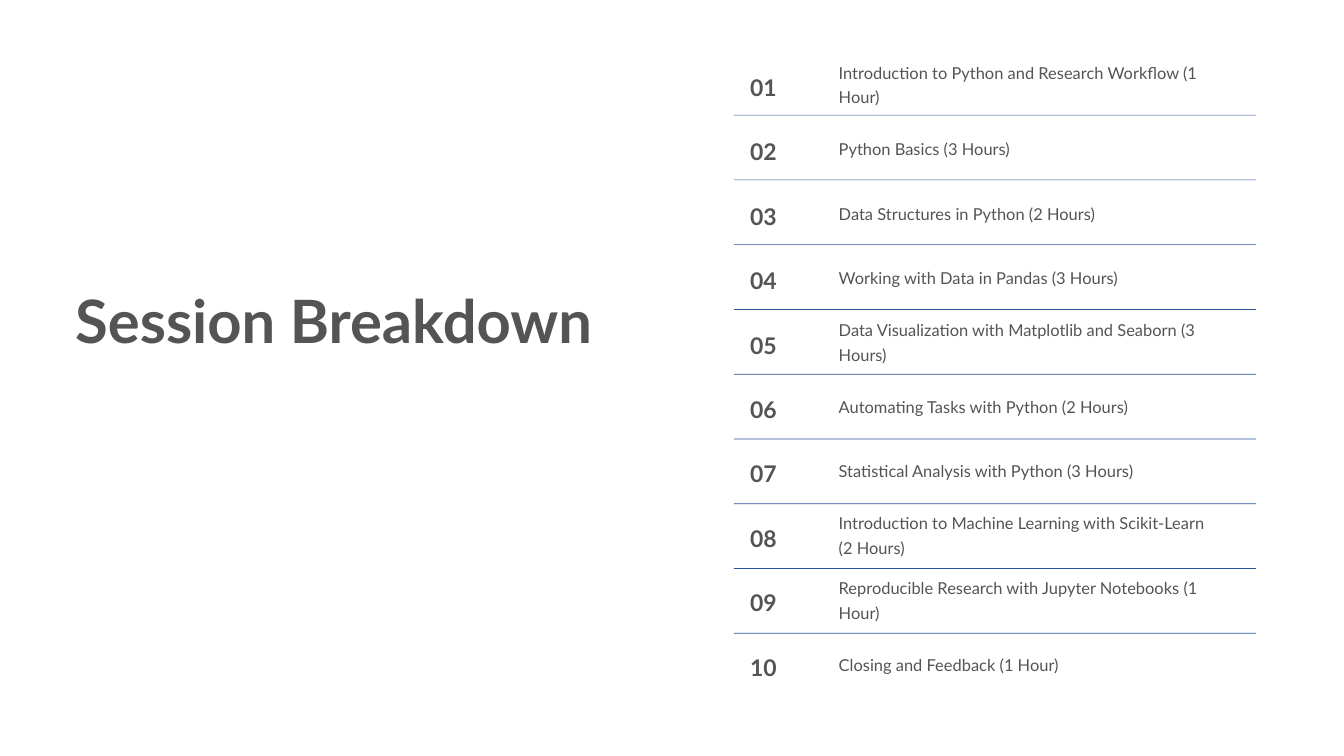
"""Build the session breakdown slide: a title beside a ruled, numbered agenda."""
from dataclasses import dataclass

from pptx import Presentation
from pptx.dml.color import RGBColor
from pptx.enum.shapes import MSO_SHAPE as Shape
from pptx.enum.text import PP_ALIGN as Align
from pptx.util import Pt


@dataclass(frozen=True)
class Theme:
    font: str = "Lato"
    ink: RGBColor = RGBColor(0x54, 0x54, 0x54)
    rule: RGBColor = RGBColor(0x2B, 0x52, 0x9D)
    title_size: float = 64
    title_leading: float = 76.8
    number_size: float = 24.6
    number_leading: float = 32
    session_size: float = 17.6
    session_leading: float = 26.5


class SlideBuilder:
    def __init__(self, slide, theme):
        self.slide = slide
        self.theme = theme

    def text(self, words, left, top, width, height, size, leading, bold=False, align=Align.LEFT):
        box = self.slide.shapes.add_textbox(Pt(left), Pt(top), Pt(width), Pt(height))
        frame = box.text_frame
        frame.word_wrap = True
        frame.margin_left = frame.margin_right = frame.margin_top = frame.margin_bottom = 0
        paragraph = frame.paragraphs[0]
        paragraph.text = words
        paragraph.alignment = align
        paragraph.line_spacing = Pt(leading)
        font = paragraph.font
        font.name = self.theme.font
        font.size = Pt(size)
        font.bold = bold
        font.color.rgb = self.theme.ink

    def title(self, words):
        theme = self.theme
        self.text(words, 80.6, 304.6, 597, 76.3, theme.title_size, theme.title_leading, bold=True)

    def rule(self, top):
        shape = self.slide.shapes.add_shape(Shape.RECTANGLE, Pt(786.2), Pt(top), Pt(559.4), Pt(0.7))
        shape.shadow.inherit = False
        shape.fill.solid()
        shape.fill.fore_color.rgb = self.theme.rule
        shape.line.fill.background()

    def session(self, number, words, line_count, top):
        theme = self.theme
        self.text(f"{number:02}", 785.5, top, 64.8, 31.7, theme.number_size,
                  theme.number_leading, bold=True, align=Align.CENTER)
        height = line_count * theme.session_leading + 2.4
        self.text(words, 898.6, top + 13.2 - height / 2, 394.6, height,
                  theme.session_size, theme.session_leading)


SESSIONS = [
    ("Introduction to Python and Research Workflow (1 Hour)", 2),
    ("Python Basics (3 Hours)", 1),
    ("Data Structures in Python (2 Hours)", 1),
    ("Working with Data in Pandas (3 Hours)", 1),
    ("Data Visualization with Matplotlib and Seaborn (3 Hours)", 2),
    ("Automating Tasks with Python (2 Hours)", 1),
    ("Statistical Analysis with Python (3 Hours)", 1),
    ("Introduction to Machine Learning with Scikit-Learn (2 Hours)", 2),
    ("Reproducible Research with Jupyter Notebooks (1 Hour)", 2),
    ("Closing and Feedback (1 Hour)", 1),
]
FIRST_SESSION_TOP, SESSION_PITCH = 76.3, 69
FIRST_RULE_TOP, RULE_PITCH = 123, 69.4


def main():
    presentation = Presentation()
    presentation.slide_width = Pt(1440)
    presentation.slide_height = Pt(810)
    slide = presentation.slides.add_slide(presentation.slide_layouts[6])
    builder = SlideBuilder(slide, Theme())

    for index in range(len(SESSIONS) - 1):
        builder.rule(FIRST_RULE_TOP + index * RULE_PITCH)
    for index, (words, line_count) in enumerate(SESSIONS):
        builder.session(index + 1, words, line_count, FIRST_SESSION_TOP + index * SESSION_PITCH)
    builder.title("Session Breakdown")

    presentation.save("out.pptx")


if __name__ == "__main__":
    main()
